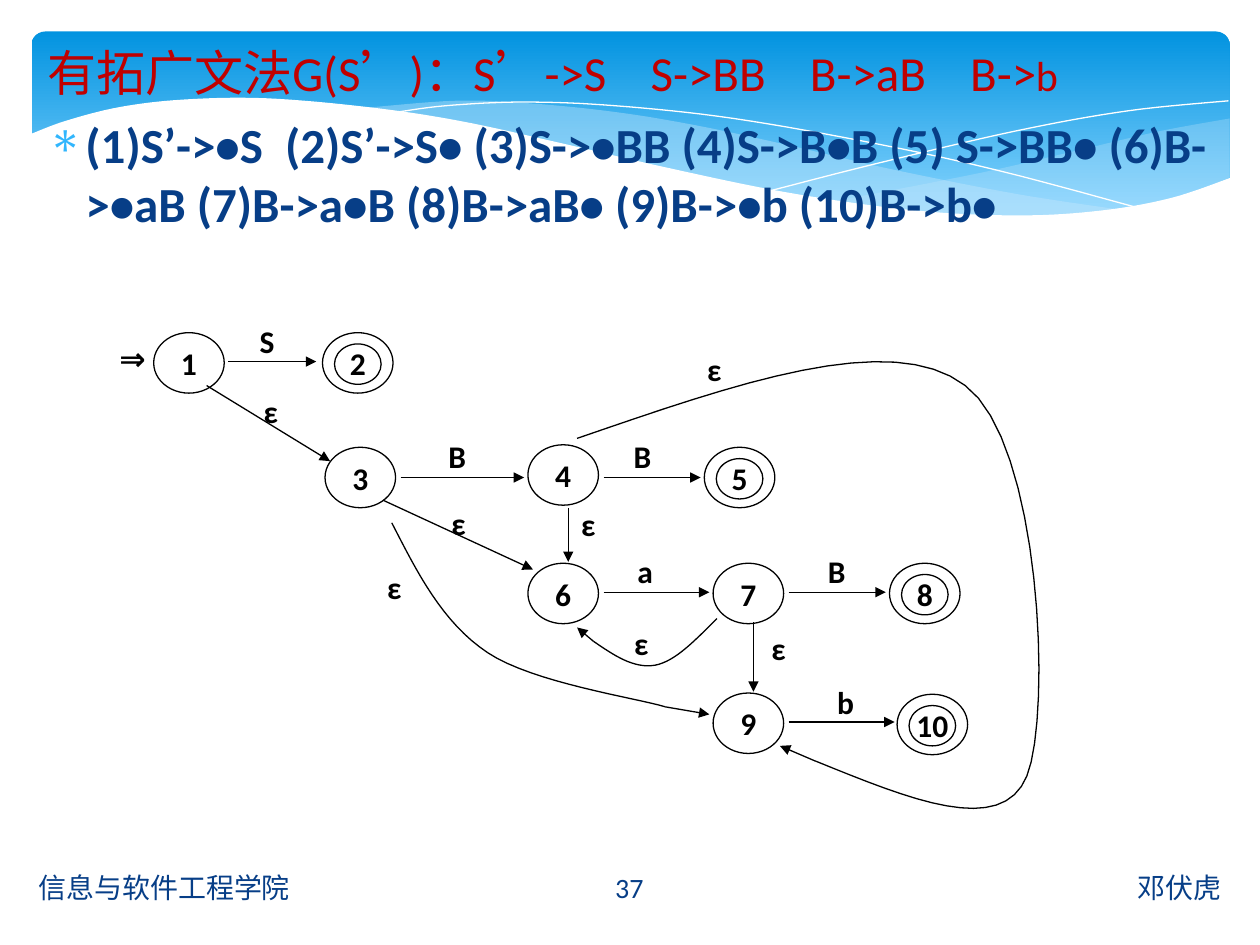
import dataclasses
from typing import List, Optional, Tuple

import lxml.etree
import pptx
import pptx.dml.color
import pptx.enum.shapes
import pptx.enum.text
import pptx.oxml
import pptx.oxml.ns
import pptx.util

Point = Tuple[float, float]  # column and row on the grid
COLUMNS, ROWS = 100, 75
FONT = "Calibri"
COLORS = {"top": "0293E0", "bottom": "83D3FE", "wave": "C6E7FC", "white": "FFFFFF",
          "ink": "000000", "navy": "073E87", "title": "C00000", "bullet": "31B6FD"}
ALIGN = pptx.enum.text.PP_ALIGN
ANCHOR = pptx.enum.text.MSO_ANCHOR
OVAL = pptx.enum.shapes.MSO_SHAPE.OVAL

presentation = pptx.Presentation()
presentation.slide_width = pptx.util.Inches(10)
presentation.slide_height = pptx.util.Inches(7.5)
slide = presentation.slides.add_slide(presentation.slide_layouts[6])
shapes = slide.shapes


@dataclasses.dataclass
class State:
    name: str
    center: Point
    final: bool = False


@dataclasses.dataclass
class Wave:
    edges: List[List[Point]]  # smooth edges that meet at corners
    fill: Optional[str] = None
    opacity: int = 100


@dataclasses.dataclass
class Arc:
    points: List[Point]  # Bézier nodes and handles
    tip: Point


def x(column: float) -> int:
    return round(column * presentation.slide_width / COLUMNS)


def y(row: float) -> int:
    return round(row * presentation.slide_height / ROWS)


def rgb(name: str) -> pptx.dml.color.RGBColor:
    return pptx.dml.color.RGBColor.from_string(COLORS[name])


def bezier(points: List[Point], steps: int = 16) -> List[Point]:
    result = [points[0]]
    for first in range(0, len(points) - 1, 3):
        a, b, c, d = points[first:first + 4]
        for step in range(1, steps + 1):
            t = step / steps
            u = 1 - t
            result.append(tuple(u**3 * a[i] + 3 * u * u * t * b[i] + 3 * u * t * t * c[i]
                                + t**3 * d[i] for i in (0, 1)))
    return result


def smooth(points: List[Point]) -> List[Point]:
    """Run a Catmull-Rom curve through the points."""
    padded = [points[0], *points, points[-1]]
    nodes = [points[0]]
    for before, start, end, after in zip(padded, padded[1:], padded[2:], padded[3:]):
        nodes += [tuple(start[i] + (end[i] - before[i]) / 6 for i in (0, 1)),
                  tuple(end[i] - (after[i] - start[i]) / 6 for i in (0, 1)), end]
    return bezier(nodes, 8)


def draw_outline(points: List[Point], line: Optional[str], width: float,
                 fill: Optional[str] = None, opacity: int = 100) -> None:
    corners = [(x(column), y(row)) for column, row in points]
    builder = shapes.build_freeform(*corners[0], scale=1.0)
    builder.add_line_segments(corners[1:], close=fill is not None)
    shape = builder.convert_to_shape()
    shape.shadow.inherit = False
    if fill:
        shape.fill.solid()
        shape.fill.fore_color.rgb = rgb(fill)
        if opacity < 100:
            color = shape.fill._xPr.find(".//" + pptx.oxml.ns.qn("a:srgbClr"))
            lxml.etree.SubElement(color, pptx.oxml.ns.qn("a:alpha"), val=str(opacity * 1000))
    else:
        shape.fill.background()
    if line:
        shape.line.color.rgb = rgb(line)
        shape.line.width = pptx.util.Pt(width)
    else:
        shape.line.fill.background()


def draw_arrow(start: Point, end: Point) -> None:
    connector = shapes.add_connector(pptx.enum.shapes.MSO_CONNECTOR.STRAIGHT,
                                     x(start[0]), y(start[1]), x(end[0]), y(end[1]))
    connector.line.color.rgb = rgb("ink")
    connector.line.width = pptx.util.Pt(0.75)
    line = connector.line._get_or_add_ln()
    lxml.etree.SubElement(line, pptx.oxml.ns.qn("a:tailEnd"), type="triangle")
    lxml.etree.SubElement(line.getparent(), pptx.oxml.ns.qn("a:effectLst"))


def style_run(run, size: float, color: str, bold: bool) -> None:
    run.font.name, run.font.size, run.font.bold = FONT, pptx.util.Pt(size), bold
    run.font.color.rgb = rgb(color)


def set_text(shape, text: str, size: float = 18, color: str = "ink", bold: bool = True,
             align=ALIGN.CENTER, anchor=ANCHOR.MIDDLE, wrap: bool = False):
    frame = shape.text_frame
    frame.text = text
    frame.word_wrap, frame.vertical_anchor = wrap, anchor
    paragraph = frame.paragraphs[0]
    paragraph.alignment = align
    style_run(paragraph.runs[0], size, color, bold)
    return paragraph


def add_box(left: float, top: float, width: float, height: float):
    return shapes.add_textbox(x(left), y(top), x(width), y(height))


def draw_oval(center: Point, width: float, height: float):
    oval = shapes.add_shape(OVAL, x(center[0] - width / 2), y(center[1] - height / 2),
                            x(width), y(height))
    oval.shadow.inherit = False
    oval.fill.background()
    oval.line.color.rgb = rgb("ink")
    oval.line.width = pptx.util.Pt(0.75)
    return oval


def draw_state(state: State) -> None:
    set_text(draw_oval(state.center, 5.6, 4.8), state.name)
    if state.final:
        draw_oval((state.center[0], state.center[1] + 0.1), 3.7, 3.2)


# Banner with waves
banner = shapes.add_shape(pptx.enum.shapes.MSO_SHAPE.ROUNDED_RECTANGLE,
                          x(2.5), y(2.5), x(95.1), y(15.6))
banner.adjustments[0] = 0.07
banner.shadow.inherit = False
banner.line.fill.background()
banner.fill.gradient()
banner.fill.gradient_angle = 270
for stop, name, position in zip(banner.fill.gradient_stops, ("top", "bottom"), (0, 0.9)):
    stop.color.rgb = rgb(name)
    stop.position = position

WAVES = [
    Wave([[(97.6, 9.4), (92.1, 10.4), (86.1, 11.8), (77.9, 13.7), (66.1, 16)],
          [(66.1, 16), (73.2, 16.8), (81.4, 17.2), (88.1, 16.7), (93.5, 15.6), (97.6, 14.1)]],
         "wave", 29),
    Wave([[(89.3, 16.7), (80.7, 15.4), (70.6, 13.4), (62.9, 11.6), (55.5, 10), (48.9, 8.9),
           (42, 8.2), (36.1, 8), (28.6, 8.6)],
          [(28.6, 8.6), (36.2, 9.7), (44.9, 11.6), (56.6, 14.3), (66.5, 16.1), (76.1, 17.1),
           (82.8, 17.3), (89.3, 16.7)]], "wave", 40),
    Wave([[(30.9, 9), (35.3, 8.4), (41.6, 8.1), (48.9, 8.4), (58.2, 9.4), (69.5, 11.4),
           (79.5, 13.6), (90.7, 16.6)]]),
    Wave([[(61.3, 15.1), (69.5, 13), (80.6, 10.4), (89.5, 8.8), (97.5, 8)]]),
    Wave([[(97.7, 14.1), (93, 15.7), (87.5, 16.7), (80.9, 17.1), (72.6, 16.7), (62.6, 15.3),
           (52.9, 13.3), (44.7, 11.4), (36.5, 9.6), (29.2, 8.5), (21.1, 7.8), (14.6, 7.9),
           (9.5, 8.5), (5.2, 9.6), (2.3, 10.7)], [(2.3, 22.4), (97.7, 22.4)]], "white"),
]
for wave in WAVES:
    outline = [point for edge in wave.edges for point in smooth(edge)]
    draw_outline(outline, None if wave.fill else "white", 0, wave.fill, wave.opacity)

# Footer
for text, left, width, align in [("邓伏虎", 56.5, 41.4, ALIGN.RIGHT),
                                 ("信息与软件工程学院", 2.1, 41.4, ALIGN.LEFT),
                                 ("37", 43.6, 12.7, ALIGN.CENTER)]:
    set_text(add_box(left, 68.4, width, 4), text, 16, "navy", False, align, wrap=True)

# Numbered items and title
items = set_text(add_box(2.8, 8.6, 94.8, 11),
                 "(1)S’->•S  (2)S’->S• (3)S->•BB (4)S->B•B (5) S->BB• "
                 "(6)B->•aB (7)B->a•B (8)B->aB• (9)B->•b (10)B->b•",
                 28, "navy", True, ALIGN.LEFT, ANCHOR.TOP, True)
properties = items._p.get_or_add_pPr()
properties.set("marL", str(x(3)))
properties.set("indent", str(-x(3)))
bullet_color = lxml.etree.SubElement(properties, pptx.oxml.ns.qn("a:buClr"))
lxml.etree.SubElement(bullet_color, pptx.oxml.ns.qn("a:srgbClr"), val=COLORS["bullet"])
lxml.etree.SubElement(properties, pptx.oxml.ns.qn("a:buChar"), char="∗")
title = set_text(add_box(2.8, 2.9, 97.2, 5.7), "有拓广文法G(S’)：S’->S    S->BB    B->aB    B->",
                 28, "title", False, ALIGN.LEFT, ANCHOR.TOP, True)
last_run = title.add_run()
last_run.text = "b"
style_run(last_run, 24, "title", False)

# Automaton: states, arrows, arcs, labels
for state in [State("1", (15, 28.8)), State("2", (28.4, 28.8), True), State("3", (28.6, 37.9)),
              State("4", (44.7, 37.7)), State("5", (58.7, 37.9), True), State("6", (44.7, 47.1)),
              State("7", (59.4, 47.1)), State("8", (73.4, 47.1), True), State("9", (59.4, 57.4)),
              State("10", (74, 57.5), True)]:
    draw_state(state)
for start, end in [((18.1, 28.7), (25.1, 28.7)), ((16.4, 30.6), (26.2, 36.6)),
                   ((31.8, 37.9), (41.6, 37.9)), ((47.9, 37.9), (55.6, 37.9)),
                   ((30.4, 39.7), (42.3, 45.2)), ((47.9, 47), (56.3, 47)),
                   ((62.6, 47), (70.3, 47)), ((62.6, 57.3), (71, 57.3)),
                   ((45.1, 40.3), (45.1, 44.6)), ((59.8, 49.4), (59.8, 54.9))]:
    draw_arrow(start, end)
for arc in [Arc([(31.1, 41.5), (33.1, 45.4), (35.1, 49.4), (38.7, 51.8), (42.3, 54.2),
                 (50.5, 55.4), (52.8, 56.1)], (56.3, 56.7)),
            Arc([(56.9, 49.1), (55.2, 50.8), (53.6, 52.5), (52, 52.8), (50.3, 53.1),
                 (48.7, 52), (47.1, 50.9)], (45.8, 49.8)),
            Arc([(45.8, 34.8), (58.3, 30.5), (70.7, 26.1), (76.6, 30.6), (82.6, 35),
                 (83.5, 56.6), (81.5, 61.6), (79.5, 66.5), (72.1, 63.4), (64.7, 60.4)],
                (61.9, 59.2))]:
    draw_outline(bezier(arc.points), "ink", 0.75)
    draw_arrow(arc.points[-1], arc.tip)
for text, column, row in [("⇒", 10.2, 28.4), ("S", 21.2, 27.1), ("ε", 21.5, 32.6),
                          ("B", 36.3, 36.2), ("B", 51, 36.2), ("ε", 36.4, 41.5),
                          ("ε", 31.3, 46.6), ("a", 51.2, 45.3), ("B", 66.4, 45.3),
                          ("b", 67.1, 55.7), ("ε", 46.7, 41.6), ("ε", 61.8, 51.4),
                          ("ε", 50.9, 51), ("ε", 56.7, 29.3)]:
    set_text(add_box(column - 1.7, row - 2, 3.4, 4), text)

presentation.save("out.pptx")
